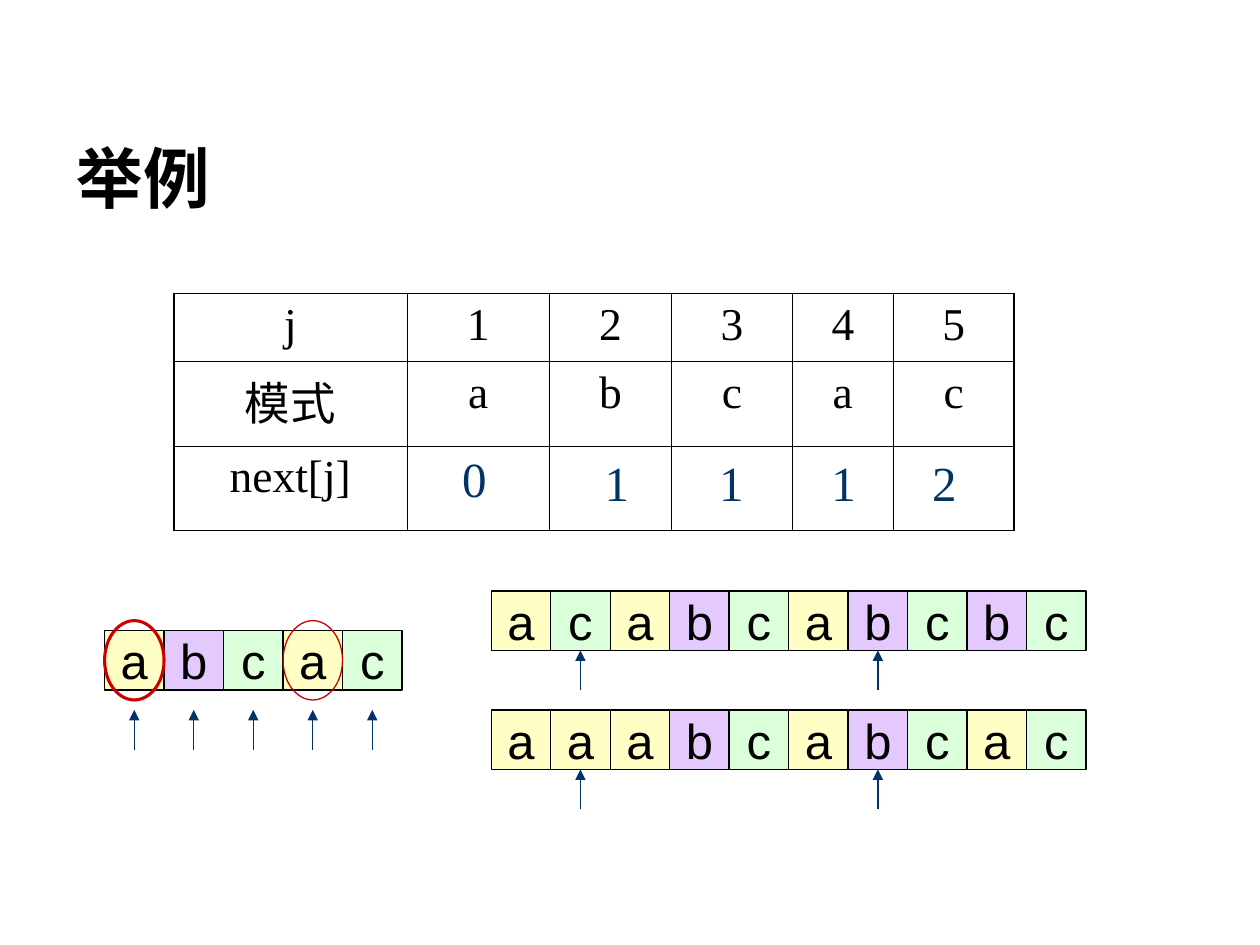
from dataclasses import dataclass

from lxml.etree import SubElement
from pptx import Presentation
from pptx.dml.color import RGBColor
from pptx.enum.shapes import MSO_CONNECTOR, MSO_SHAPE
from pptx.enum.text import MSO_ANCHOR, PP_ALIGN
from pptx.oxml.ns import qn
from pptx.util import Inches, Pt

BLACK = RGBColor(0x00, 0x00, 0x00)
NAVY = RGBColor(0x00, 0x33, 0x66)
RED = RGBColor(0xCC, 0x00, 0x00)
FILLS = {
    "a": RGBColor(0xFF, 0xFF, 0xC5),
    "b": RGBColor(0xE4, 0xC9, 0xFF),
    "c": RGBColor(0xDB, 0xFF, 0xDB),
}
SERIF = "Times New Roman"

GRID_LEFT, GRID_TOP = 0.83, 4.69
UNIT = 7.79 / 16.5
ARROW_ROWS = 2 / 3

TABLE_ROWS = [
    ["j", "1", "2", "3", "4", "5"],
    ["模式", "a", "b", "c", "a", "c"],
    ["next[j]", "", "", "", "", ""],
]
COL_WIDTHS = [1.85, 1.13, 0.97, 0.96, 0.8, 0.96]
ROW_HEIGHTS = [0.54, 0.67, 0.67]


@dataclass
class Sequence:
    letters: str
    col: float
    row: float
    arrow_row: float
    arrows: tuple[int, ...]


@dataclass
class Answer:
    text: str
    left: float
    top: float = 3.54


@dataclass
class Ring:
    col: float
    width: float


SEQUENCES = [
    Sequence("abcac", 0, 2 / 3, 2, (0, 1, 2, 3, 4)),
    Sequence("acabcabcbc", 6.5, 0, 1, (1, 6)),
    Sequence("aaabcabcac", 6.5, 2, 3, (1, 6)),
]
ANSWERS = [Answer("0", 3.35, 3.51), Answer("1", 4.48), Answer("1", 5.39),
           Answer("1", 6.28), Answer("2", 7.08)]
RINGS = [Ring(0, 1.75), Ring(3, 0.75)]


def grid_x(col: float) -> int:
    return Inches(GRID_LEFT + col * UNIT)


def grid_y(row: float) -> int:
    return Inches(GRID_TOP + row * UNIT)


def format_text(tf, size: float, font: str, color: RGBColor,
                align=PP_ALIGN.CENTER, bold: bool = False) -> None:
    p = tf.paragraphs[0]
    p.alignment = align
    for r in p.runs:
        r.font.size = Pt(size)
        r.font.name = font
        r.font.bold = bold
        r.font.color.rgb = color


def add_title(slide, text: str) -> None:
    sp = slide.shapes.title
    sp.left, sp.top, sp.width, sp.height = map(Inches, (0.51, 0.52, 9, 1.25))
    tf = sp.text_frame
    tf.text = text
    tf.vertical_anchor = MSO_ANCHOR.BOTTOM
    format_text(tf, 38, "DejaVu Sans", BLACK, PP_ALIGN.LEFT, True)


def set_border(cell, side: str, width: float) -> None:
    ln = SubElement(cell._tc.get_or_add_tcPr(), qn(f"a:ln{side}"), w=str(Pt(width)))
    fill = SubElement(ln, qn("a:solidFill"))
    SubElement(fill, qn("a:srgbClr"), val=str(BLACK))


def add_next_table(slide) -> None:
    n_rows, n_cols = len(ROW_HEIGHTS), len(COL_WIDTHS)
    table = slide.shapes.add_table(
        n_rows, n_cols, Inches(1.38), Inches(2.33),
        Inches(sum(COL_WIDTHS)), Inches(sum(ROW_HEIGHTS))).table
    table.first_row = table.horz_banding = False
    for column, width in zip(table.columns, COL_WIDTHS):
        column.width = Inches(width)
    for i, height in enumerate(ROW_HEIGHTS):
        table.rows[i].height = Inches(height)
        for j, text in enumerate(TABLE_ROWS[i]):
            cell = table.cell(i, j)
            outer = {"L": j == 0, "R": j == n_cols - 1,
                     "T": i == 0, "B": i == n_rows - 1}
            for side, is_outer in outer.items():
                set_border(cell, side, 1.08 if is_outer else 0.45)
            cell.fill.background()
            cell.text_frame.text = text
            format_text(cell.text_frame, 26, SERIF, BLACK)


def add_answer(slide, answer: Answer) -> None:
    sp = slide.shapes.add_textbox(Inches(answer.left), Inches(answer.top),
                                  Inches(0.83), Inches(0.57))
    tf = sp.text_frame
    tf.word_wrap = True
    tf.text = answer.text
    format_text(tf, 28, SERIF, NAVY)


def add_arrow(slide, col: float, row: float) -> None:
    x = grid_x(col + 0.5)
    line = slide.shapes.add_connector(
        MSO_CONNECTOR.STRAIGHT, x, grid_y(row + ARROW_ROWS), x, grid_y(row))
    line.line.color.rgb = NAVY
    line.line.width = Pt(0.75)
    SubElement(line.line._get_or_add_ln(), qn("a:tailEnd"), type="triangle")
    SubElement(line._element.spPr, qn("a:effectLst"))


def add_sequence(slide, seq: Sequence) -> None:
    group = slide.shapes.add_group_shape()
    for i, letter in enumerate(seq.letters):
        sp = group.shapes.add_shape(
            MSO_SHAPE.RECTANGLE, grid_x(seq.col + i), grid_y(seq.row),
            Inches(UNIT), Inches(UNIT))
        sp.shadow.inherit = False
        sp.fill.solid()
        sp.fill.fore_color.rgb = FILLS[letter]
        sp.line.color.rgb = BLACK
        sp.line.width = Pt(0.75)
        tf = sp.text_frame
        tf.word_wrap = False
        tf.vertical_anchor = MSO_ANCHOR.MIDDLE
        tf.text = letter
        format_text(tf, 28, "Arial", BLACK)
    for i in seq.arrows:
        add_arrow(slide, seq.col + i, seq.arrow_row)


def add_ring(slide, ring: Ring) -> None:
    sp = slide.shapes.add_shape(MSO_SHAPE.OVAL, grid_x(ring.col), grid_y(0.5),
                                Inches(UNIT), Inches(UNIT * 4 / 3))
    sp.shadow.inherit = False
    sp.fill.background()
    sp.line.color.rgb = RED
    sp.line.width = Pt(ring.width)


def main() -> None:
    prs = Presentation()
    prs.slide_width, prs.slide_height = Inches(10), Inches(7.5)
    slide = prs.slides.add_slide(prs.slide_layouts[5])
    add_title(slide, "举例")
    add_next_table(slide)
    for answer in ANSWERS:
        add_answer(slide, answer)
    for seq in SEQUENCES:
        add_sequence(slide, seq)
    for ring in RINGS:
        add_ring(slide, ring)
    prs.save("out.pptx")


if __name__ == "__main__":
    main()
